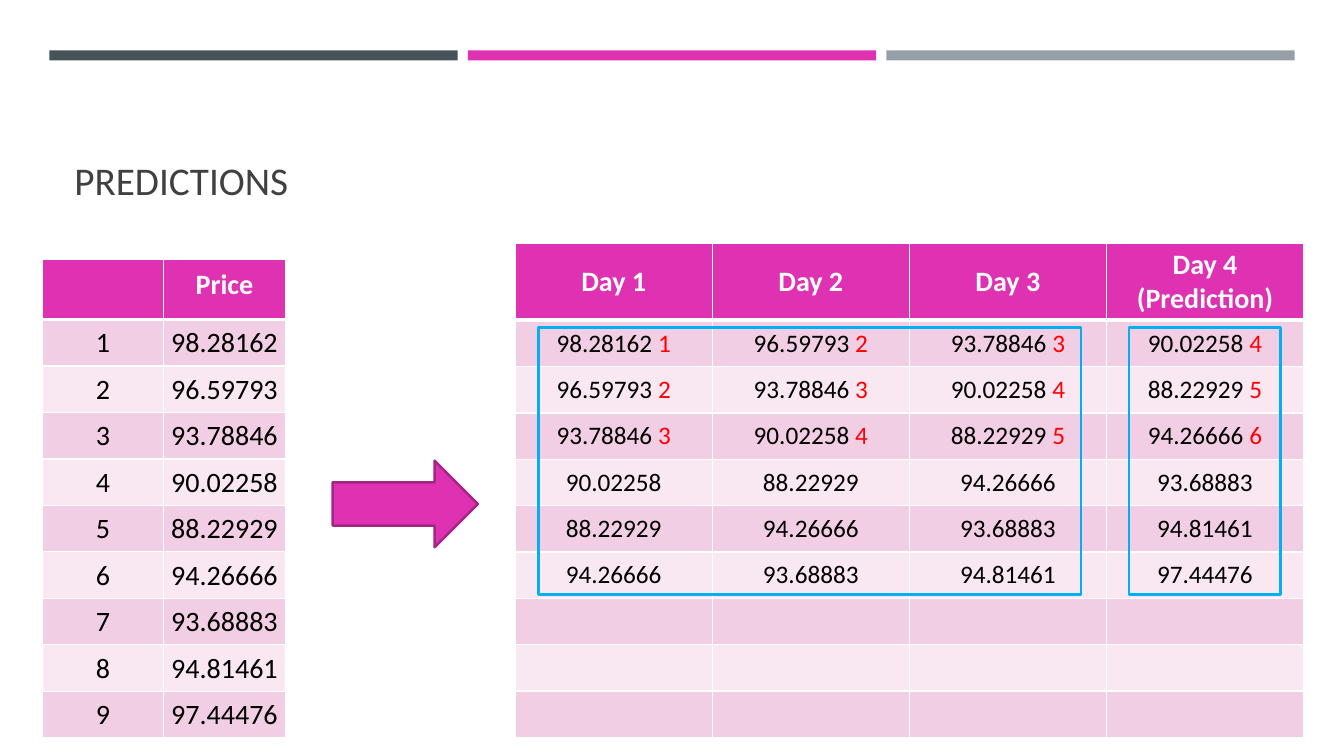
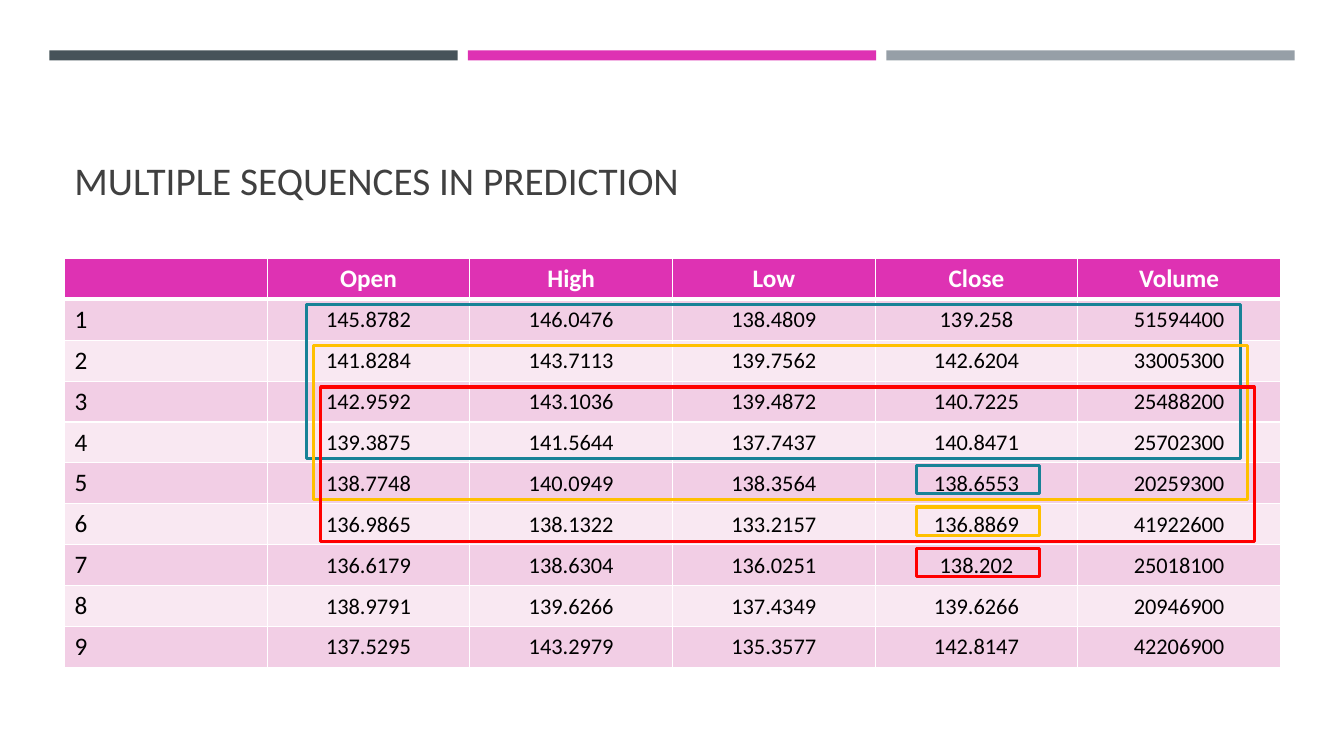
from pptx import Presentation
from pptx.dml.color import RGBColor
from pptx.enum.shapes import MSO_SHAPE
from pptx.enum.text import MSO_ANCHOR, PP_ALIGN
from pptx.oxml.ns import qn
from pptx.util import Inches, Pt
from lxml.etree import SubElement

FONT = "Calibri"
PINK = RGBColor(0xDE, 0x32, 0xB3)
PLUM = RGBColor(0xA4, 0x25, 0x84)
ROSE = RGBColor(0xF2, 0xCE, 0xE5)
PALE = RGBColor(0xF9, 0xE8, 0xF2)
SLATE = RGBColor(0x46, 0x53, 0x59)
GREY = RGBColor(0x96, 0x9F, 0xA7)
INK = RGBColor(0x40, 0x40, 0x40)
BLACK = RGBColor(0, 0, 0)
WHITE = RGBColor(0xFF, 0xFF, 0xFF)
RED = RGBColor(0xFF, 0, 0)
BLUE = RGBColor(0, 0xB0, 0xF0)
TEAL = RGBColor(0x18, 0x82, 0x97)
GOLD = RGBColor(0xFF, 0xC0, 0)

# Cell insets: left, top, right, bottom
ROOMY = (0.1, 0.05, 0.1, 0.05)
WIDE = (0.17, 0.09, 0.17, 0.09)
TIGHT = (0.01, 0.01, 0.01, 0)

PRICES = ["98.28162", "96.59793", "93.78846", "90.02258", "88.22929",
          "94.26666", "93.68883", "94.81461", "97.44476"]
STOCK = [
    ["145.8782", "146.0476", "138.4809", "139.258", "51594400"],
    ["141.8284", "143.7113", "139.7562", "142.6204", "33005300"],
    ["142.9592", "143.1036", "139.4872", "140.7225", "25488200"],
    ["139.3875", "141.5644", "137.7437", "140.8471", "25702300"],
    ["138.7748", "140.0949", "138.3564", "138.6553", "20259300"],
    ["136.9865", "138.1322", "133.2157", "136.8869", "41922600"],
    ["136.6179", "138.6304", "136.0251", "138.202", "25018100"],
    ["138.9791", "139.6266", "137.4349", "139.6266", "20946900"],
    ["137.5295", "143.2979", "135.3577", "142.8147", "42206900"],
]


class Deck:
    def __init__(self):
        self.prs = Presentation()
        self.prs.slide_width = Inches(13.33)
        self.prs.slide_height = Inches(7.5)
        self.slide = None

    def page(self, title):
        """Start a slide with the three bands and a title."""
        self.slide = self.prs.slides.add_slide(self.prs.slide_layouts[6])
        for i, tone in enumerate((SLATE, PINK, GREY)):
            self.shape((0.49 + 4.15 * i, 0.5, 4.05, 0.1), fill=tone)
        box = self.slide.shapes.add_textbox(
            *map(Inches, (0.64, 0.77, 12.06, 1.3)))
        frame = box.text_frame
        frame.word_wrap = True
        frame.vertical_anchor = MSO_ANCHOR.BOTTOM
        frame.text = title
        self.style(frame.paragraphs[0].runs[0], 28, INK)

    def style(self, run, size, tone, bold=False):
        run.font.name = FONT
        run.font.size = Pt(size)
        run.font.bold = bold
        run.font.color.rgb = tone

    def shape(self, box, kind=MSO_SHAPE.RECTANGLE, fill=None, line=None,
              width=1.75):
        item = self.slide.shapes.add_shape(kind, *map(Inches, box))
        item.shadow.inherit = False
        if fill is None:
            item.fill.background()
        else:
            item.fill.solid()
            item.fill.fore_color.rgb = fill
        if line is None:
            item.line.fill.background()
        else:
            item.line.color.rgb = line
            item.line.width = Pt(width)

    def table(self, box, rows, head):
        """Add an empty banded table; head is the height of its first row."""
        count, cols = len(rows), len(rows[0])
        grid = self.slide.shapes.add_table(
            count, cols, *map(Inches, box)).table
        for col in grid.columns:
            col.width = Inches(box[2] / cols)
        body = (box[3] - head) / (count - 1)
        for r, row in enumerate(grid.rows):
            row.height = Inches(body if r else head)
            for cell in row.cells:
                self.edges(cell, r)
                cell.fill.solid()
                band = ROSE if r % 2 else PALE
                cell.fill.fore_color.rgb = band if r else PINK
        return grid

    def edges(self, cell, r):
        """Draw white borders, thick below the header row."""
        props = cell._tc.get_or_add_tcPr()
        for side in "LRTB":
            thick = (r, side) in ((0, "B"), (1, "T"))
            line = SubElement(props, qn("a:ln" + side),
                              w=str(Pt(3 if thick else 1)))
            fill = SubElement(line, qn("a:solidFill"))
            SubElement(fill, qn("a:srgbClr"), val=str(WHITE))

    def label(self, cell, text, size, tone=BLACK, bold=False, inset=ROOMY,
              align=PP_ALIGN.CENTER, anchor=MSO_ANCHOR.MIDDLE, tag=""):
        """Fill a cell, with an optional red tag after the text."""
        if not text:
            return
        (cell.margin_left, cell.margin_top, cell.margin_right,
         cell.margin_bottom) = map(Inches, inset)
        cell.vertical_anchor = anchor
        cell.text_frame.text = text
        para = cell.text_frame.paragraphs[0]
        para.alignment = align
        self.style(para.runs[0], size, tone, bold)
        if tag:
            para.runs[0].text = text + " "
            run = para.add_run()
            run.text = tag
            self.style(run, size, RED)

    def heads(self, grid, names, size, **look):
        for c, name in enumerate(names):
            self.label(grid.cell(0, c), name, size, WHITE, True, **look)


def prices(deck):
    deck.page("PREDICTIONS")

    # Sliding windows: three days in, the fourth predicted
    names = ["Day 1", "Day 2", "Day 3", "Day 4 (Prediction)"]
    span = len(names)
    rows = [names] + [PRICES[i:i + span] for i in range(len(PRICES))]
    grid = deck.table((5.11, 2.41, 7.82, 4.74), rows, 0.6)
    deck.heads(grid, names, 20)
    for r, row in enumerate(rows[1:], 1):
        if len(row) < span:
            break
        for c, text in enumerate(row):
            tag = str(r + c) if r <= 3 else ""
            deck.label(grid.cell(r, c), text, 18, tag=tag)

    # Price list
    names = ["", "Price"]
    rows = [names] + [[str(i), p] for i, p in enumerate(PRICES, 1)]
    grid = deck.table((0.42, 2.57, 2.41, 4.75), rows, 0.6)
    deck.heads(grid, names, 20, inset=WIDE, anchor=MSO_ANCHOR.TOP)
    for r, row in enumerate(rows[1:], 1):
        for c, text in enumerate(row):
            deck.label(grid.cell(r, c), text, 20, inset=TIGHT)

    # Frames and arrow
    for left, width in ((5.34, 5.38), (11.2, 1.5)):
        deck.shape((left, 3.25, width, 2.65), line=BLUE)
    deck.shape((3.3, 4.57, 1.44, 0.86), MSO_SHAPE.RIGHT_ARROW, PINK, PLUM)


def stock(deck):
    deck.page("MULTIPLE SEQUENCES IN PREDICTION")

    # Daily values
    names = ["", "Open", "High", "Low", "Close", "Volume"]
    rows = [names] + [[str(i)] + day for i, day in enumerate(STOCK, 1)]
    grid = deck.table((0.64, 2.56, 12.06, 4.06), rows, 0.41)
    deck.heads(grid, names, 18)
    for r, row in enumerate(rows[1:], 1):
        deck.label(grid.cell(r, 0), row[0], 18, align=PP_ALIGN.LEFT,
                   anchor=MSO_ANCHOR.TOP)
        for c, text in enumerate(row[1:], 1):
            deck.label(grid.cell(r, c), text, 16, inset=TIGHT)

    # Each window and the value it predicts, one row further down
    for i, tone in enumerate((TEAL, GOLD, RED)):
        drop = 0.41 * i
        deck.shape((3.04 + 0.07 * i, 3.02 + drop, 9.26, 1.53),
                   line=tone, width=2.25)
        deck.shape((9.09, 4.62 + drop, 1.22, 0.28), line=tone, width=2.25)


def main():
    deck = Deck()
    prices(deck)
    stock(deck)
    deck.prs.save("out.pptx")


if __name__ == "__main__":
    main()
